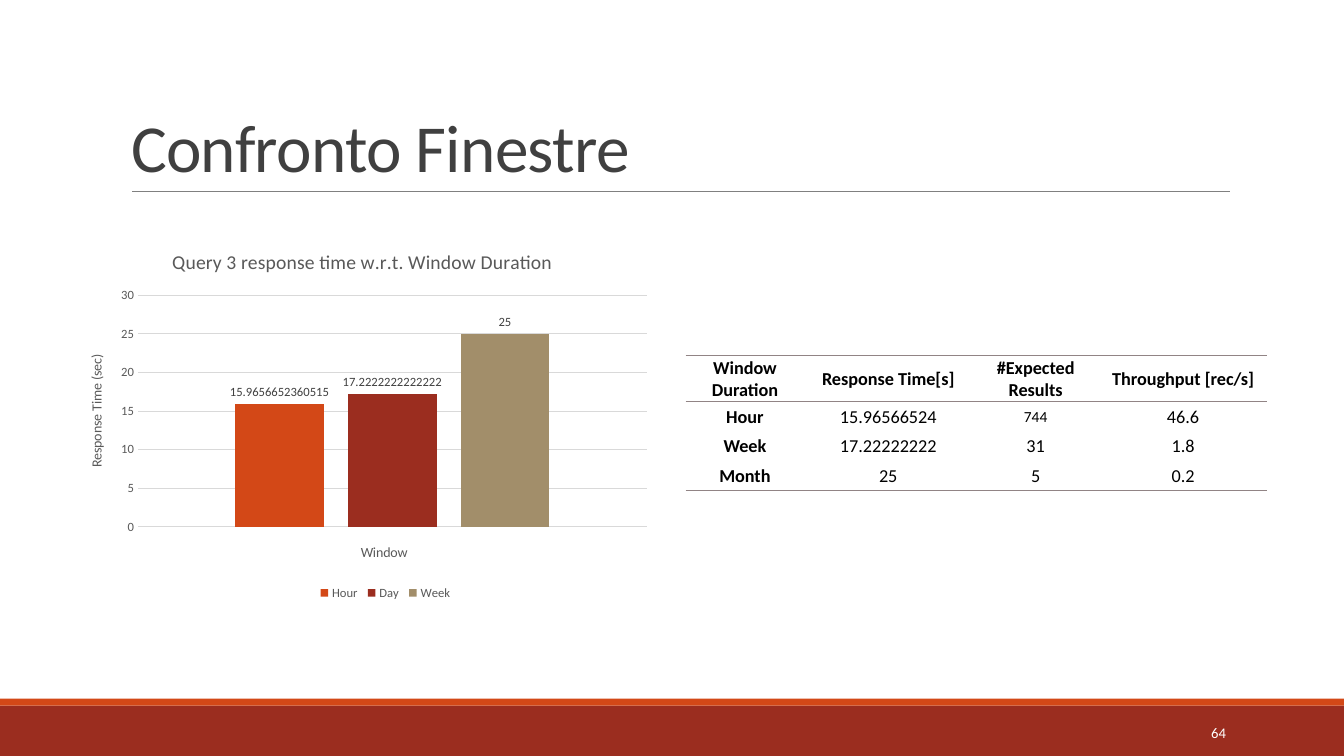
from lxml import etree
from pptx import Presentation
from pptx import util as u
from pptx.chart.data import CategoryChartData
from pptx.dml.color import RGBColor
from pptx.enum import chart as ch, shapes, text
from pptx.oxml import parse_xml
from pptx.oxml.ns import nsdecls, qn

BLACK = RGBColor(0x00, 0x00, 0x00)
WHITE = RGBColor(0xFF, 0xFF, 0xFF)
DARK = RGBColor(0x40, 0x40, 0x40)
GREY = RGBColor(0x59, 0x59, 0x59)
RULE = RGBColor(0x80, 0x80, 0x80)
GRID = RGBColor(0xD9, 0xD9, 0xD9)
EDGE = RGBColor(0x91, 0x84, 0x85)
ORANGE = RGBColor(0xD3, 0x48, 0x17)
RED = RGBColor(0x9B, 0x2D, 0x1F)
TAN = RGBColor(0xA2, 0x8E, 0x6A)
FONT = "Calibri"

deck = Presentation()
deck.slide_width, deck.slide_height = u.Inches(13.33), u.Inches(7.5)
# The slide is a grid of 100 columns and 100 rows
COL, ROW = deck.slide_width / 100, deck.slide_height / 100
slide = deck.slides.add_slide(deck.slide_layouts[5])


def place(x, y, w, h):
    return [int(n * unit) for n, unit in zip((x, y, w, h), (COL, ROW, COL, ROW))]


def write(frame, words, size, color, bold=False, align=None, lead=None, track=None):
    para = frame.paragraphs[0]
    para.alignment, para.line_spacing = align, lead
    run = para.add_run()
    run.text = words
    font = run.font
    font.name, font.size, font.bold = FONT, u.Pt(size), bold
    font.color.rgb = color
    if track is not None:
        run.font._element.set("spc", str(track))


# Footer bands
for top, high, color in ((93.33, 6.67, RED), (92.4, 0.93, ORANGE)):
    band = slide.shapes.add_shape(shapes.MSO_SHAPE.RECTANGLE, *place(0, top, 100, high))
    band.shadow.inherit = False
    band.fill.solid()
    band.fill.fore_color.rgb = color
    band.line.fill.background()

# Title and its rule
title = slide.shapes.title
title.left, title.top, title.width, title.height = place(9, 4.13, 82.5, 21.2)
title.text_frame.vertical_anchor = text.MSO_ANCHOR.BOTTOM
title.text_frame.word_wrap = True
write(title.text_frame, "Confronto Finestre", 48, DARK,
      align=text.PP_ALIGN.LEFT, lead=0.85, track=-50)
rule = slide.shapes.add_connector(shapes.MSO_CONNECTOR.STRAIGHT,
                                  *place(9.83, 25.33, 91.55, 25.33))
rule.line.color.rgb, rule.line.width = RULE, u.Pt(0.5)
etree.SubElement(rule._element.spPr, qn("a:effectLst"))

# Page number
page = slide.shapes.add_textbox(*place(81.22, 94.18, 10.73, 5.33)).text_frame
page.word_wrap = True
page.vertical_anchor = text.MSO_ANCHOR.MIDDLE
write(page, "64", 10.5, WHITE, align=text.PP_ALIGN.RIGHT)

# Table of windows
rows = (
    ("Window Duration", "Response Time[s]", "#Expected Results", "Throughput [rec/s]"),
    ("Hour", "15.96566524", "744", "46.6"),
    ("Week", "17.22222222", "31", "1.8"),
    ("Month", "25", "5", "0.2"),
)
table = slide.shapes.add_table(4, 4, *place(51.01, 47.07, 43.27, 17.78)).table
table.first_row = table.horz_banding = False
table._tbl.tblPr.find(qn("a:tableStyleId")).text = "{2D5ABB26-0587-4C30-8999-92F81FD0307C}"
for col, wide in zip(table.columns, (8.83, 12.5, 9.44, 12.5)):
    col.width = int(wide * COL)
for r, line in enumerate(rows):
    table.rows[r].height = int((3.9 if r else 6.08) * ROW)
    for c, words in enumerate(line):
        cell = table.cell(r, c)
        cell.margin_left = cell.margin_right = cell.margin_top = u.Inches(0.01)
        cell.margin_bottom = 0
        cell.vertical_anchor = text.MSO_ANCHOR.MIDDLE
        cell.fill.background()
        write(cell.text_frame, words, 11 if words == "744" else 13, BLACK,
              bold=r == 0 or c == 0, align=text.PP_ALIGN.CENTER)
        sides = {0: ("lnB", "lnT"), 3: ("lnB",)}.get(r, ())
        for side in sides:
            cell._tc.tcPr.insert(0, parse_xml(
                f'<a:{side} {nsdecls("a")} w="12700"><a:solidFill>'
                f'<a:srgbClr val="{EDGE}"/></a:solidFill></a:{side}>'))

# Chart of response times
data = CategoryChartData()
data.categories = ["1"]
bars = (("Hour", 15.965665, "15.9656652360515", ORANGE),
        ("Day", 17.222222, "17.2222222222222", RED),
        ("Week", 25, "25", TAN))
for name, value, label, color in bars:
    data.add_series(name, [value])
chart = slide.shapes.add_chart(ch.XL_CHART_TYPE.COLUMN_CLUSTERED,
                               *place(5.03, 30.8, 43.96, 50.13), data).chart
chart.font.name, chart.font.size = FONT, u.Pt(10)
chart.font.color.rgb = BLACK
plot = chart.plots[0]
plot.gap_width, plot.overlap, plot.vary_by_categories = 219, -27, False
for series, (name, value, label, color) in zip(plot.series, bars):
    series.format.fill.solid()
    series.format.fill.fore_color.rgb = color
    tags = series.data_labels
    tags.show_value = True
    tags.position = ch.XL_LABEL_POSITION.OUTSIDE_END
    tags.font.name, tags.font.size = FONT, u.Pt(9)
    tags.font.color.rgb = DARK
    tag = series.points[0].data_label
    write(tag.text_frame, label, 9, DARK)
    tag.position = ch.XL_LABEL_POSITION.OUTSIDE_END

# Axes and legend
base, scale = chart.category_axis, chart.value_axis
base.visible = False
scale.minimum_scale, scale.maximum_scale, scale.major_unit = 0, 30, 5
scale.major_tick_mark = ch.XL_TICK_MARK.NONE
scale.format.line.fill.background()
lines = scale.major_gridlines.format.line
lines.color.rgb, lines.width = GRID, u.Pt(0.75)
chart.has_legend = True
legend = chart.legend
legend.position = ch.XL_LEGEND_POSITION.BOTTOM
legend.include_in_layout = False
for part in (scale.tick_labels, legend):
    part.font.name, part.font.size = FONT, u.Pt(9)
    part.font.color.rgb = GREY

# Chart titles
heads = ((chart.chart_title, "Query 3 response time w.r.t. Window Duration", 14),
         (base.axis_title, "Window", 10),
         (scale.axis_title, "Response Time (sec)", 10))
for head, words, size in heads:
    write(head.text_frame, words, size, GREY)
turn = scale.axis_title.text_frame._txBody.find(qn("a:bodyPr"))
turn.set("rot", "-5400000")
turn.set("vert", "horz")

# Places inside the chart, in percent of its size
spots = (
    (chart.chart_title._element, 1, {"x": 17.1, "y": 3.1}),
    (base.axis_title._element, 1, {"x": 49.2, "y": 81.3}),
    (scale.axis_title._element, 1, {"x": 2.9, "y": 31.5}),
    (legend._element, 1, {"x": 41.8, "y": 91.5, "w": 24, "h": 7}),
    (chart._chartSpace.chart.plotArea, 0, {"x": 11.9, "y": 16.5, "w": 86.1, "h": 61.1}),
)
for part, index, shares in spots:
    for old in part.findall(qn("c:layout")):
        part.remove(old)
    inner = '<c:layoutTarget val="inner"/>' if index == 0 else ""
    modes = "".join(f'<c:{k}Mode val="edge"/>' for k in "xy")
    sizes = "".join(f'<c:{k} val="{v / 100:.3f}"/>' for k, v in shares.items())
    part.insert(index, parse_xml(
        f'<c:layout {nsdecls("c")}><c:manualLayout>{inner}{modes}{sizes}'
        '</c:manualLayout></c:layout>'))

deck.save("out.pptx")
